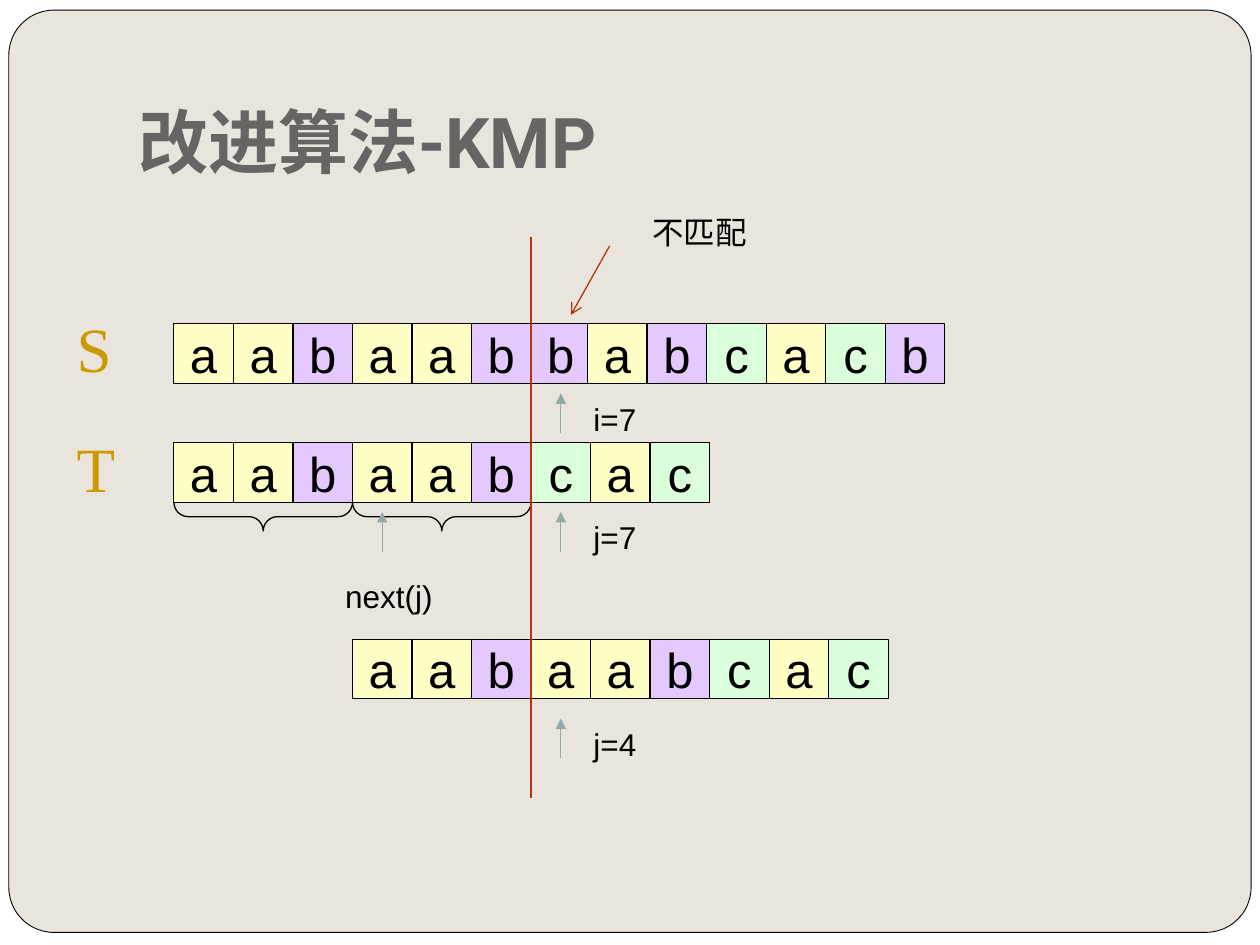
from typing import NamedTuple

from lxml.etree import SubElement
from pptx import Presentation
from pptx.dml.color import RGBColor
from pptx.enum.shapes import MSO_CONNECTOR, MSO_SHAPE
from pptx.enum.text import MSO_ANCHOR, MSO_AUTO_SIZE, PP_ALIGN
from pptx.oxml.ns import qn
from pptx.util import Inches, Length, Pt

BLACK = RGBColor(0x00, 0x00, 0x00)
WHITE = RGBColor(0xFF, 0xFF, 0xFF)
PANEL = RGBColor(0xE9, 0xE5, 0xDC)
TITLE = RGBColor(0x69, 0x64, 0x64)
GOLD = RGBColor(0xCC, 0x99, 0x00)
POINTER = RGBColor(0x96, 0xA9, 0xA9)
RUST = RGBColor(0xB1, 0x36, 0x0B)
LETTER_FILLS = {
    "a": RGBColor(0xFF, 0xFF, 0xC5),
    "b": RGBColor(0xE4, 0xC9, 0xFF),
    "c": RGBColor(0xDB, 0xFF, 0xDB),
}

# Grid of square cells; column 0, row 0 is the first letter of S.
CELL = 0.4725
GRID_LEFT, GRID_TOP = 1.38, 2.57


class Strip(NamedTuple):
    letters: str
    column: float
    row: float


class Label(NamedTuple):
    text: str
    column: float
    row: float
    width: float
    height: float = 0.4
    size: int = 18
    font: str = "Arial"
    color: RGBColor = BLACK
    wrap: bool = False


class Line(NamedTuple):
    start: tuple[float, float]
    end: tuple[float, float]
    color: RGBColor = POINTER
    head: str = "triangle"


class Brace(NamedTuple):
    column: float
    row: float
    columns: float
    depth: float = 0.48


STRIPS = [
    Strip("aabaabb", 0, 0),
    Strip("abcacb", 6.95, 0),
    Strip("aabaabcac", 0, 2),
    Strip("aabaabcac", 3, 5.3),
]
SERIF = {"font": "Times New Roman"}
NAME = {"height": 0.7, "size": 36, "color": GOLD, **SERIF}
LABELS = [
    Label("S", -1.84, -0.34, 0.48, **NAME),
    Label("T", -1.84, 1.67, 0.51, **NAME),
    Label("i=7", 6.84, 1.17, 0.54),
    Label("j=7", 6.84, 3.16, 0.55),
    Label("j=4", 6.84, 6.63, 0.55),
    Label("next(j)", 2.67, 4.15, 0.9),
    Label("不匹配", 7.83, -1.97, 1.25, wrap=True, **SERIF),
]
LINES = [
    Line((6.5, 1.83), (6.5, 1.17)),
    Line((6.5, 3.83), (6.5, 3.16)),
    Line((3.5, 3.83), (3.5, 3.16)),
    Line((6.5, 7.3), (6.5, 6.63)),
    Line((6, -1.46), (6, 7.96), RUST, ""),
    Line((7.32, -1.31), (6.67, -0.15), RUST, "arrow"),
]
BRACES = [Brace(column, 3, 3) for column in (0, 3)]


def grid_x(column: float) -> Length:
    return Inches(GRID_LEFT + column * CELL)


def grid_y(row: float) -> Length:
    return Inches(GRID_TOP + row * CELL)


def set_all(target, values: dict) -> None:
    for name, value in values.items():
        setattr(target, name, value)


def write(frame, text: str, size: int, font: str, color: RGBColor, bold=False) -> None:
    span = frame.paragraphs[0].add_run()
    span.text = text
    set_all(span.font, {"size": Pt(size), "name": font, "bold": bold})
    span.font.color.rgb = color


def outline(shape, color: RGBColor, width: float = 0.75) -> None:
    shape.line.color.rgb = color
    shape.line.width = Pt(width)


def draw_panel(page) -> None:
    """Draw the rounded panel behind the title."""
    panel = page.shapes.add_shape(
        MSO_SHAPE.ROUNDED_RECTANGLE,
        Inches(0.07), Inches(0.08), Inches(9.86), Inches(7.32),
    )
    panel.adjustments[0] = 0.049
    panel.shadow.inherit = False
    panel.fill.solid()
    panel.fill.fore_color.rgb = PANEL
    outline(panel, BLACK, 0.5)
    page.shapes.title.element.addprevious(panel.element)


def draw_title(page, text: str) -> None:
    title = page.shapes.title
    set_all(title, {"left": Inches(1), "top": Inches(0.3),
                    "width": Inches(8.5), "height": Inches(1.25)})
    frame = title.text_frame
    set_all(frame, {"vertical_anchor": MSO_ANCHOR.BOTTOM, "margin_bottom": Inches(0.1),
                    "word_wrap": True, "auto_size": MSO_AUTO_SIZE.NONE})
    frame.paragraphs[0].alignment = PP_ALIGN.LEFT
    write(frame, text, 40, "Roboto", TITLE, bold=True)


def draw_strip(page, strip: Strip) -> None:
    group = page.shapes.add_group_shape()
    for index, letter in enumerate(strip.letters):
        box = group.shapes.add_shape(
            MSO_SHAPE.RECTANGLE, grid_x(strip.column + index), grid_y(strip.row),
            Inches(CELL), Inches(CELL),
        )
        box.shadow.inherit = False
        box.fill.solid()
        box.fill.fore_color.rgb = LETTER_FILLS[letter]
        outline(box, BLACK)
        frame = box.text_frame
        set_all(frame, {"word_wrap": False, "vertical_anchor": MSO_ANCHOR.MIDDLE})
        frame.paragraphs[0].alignment = PP_ALIGN.CENTER
        write(frame, letter, 28, "Arial", BLACK)


def draw_label(page, label: Label) -> None:
    box = page.shapes.add_textbox(grid_x(label.column), grid_y(label.row),
                                  Inches(label.width), Inches(label.height))
    set_all(box.text_frame, {"word_wrap": label.wrap,
                             "auto_size": MSO_AUTO_SIZE.SHAPE_TO_FIT_TEXT})
    write(box.text_frame, label.text, label.size, label.font, label.color)


def draw_line(page, line: Line) -> None:
    (start_column, start_row), (end_column, end_row) = line.start, line.end
    connector = page.shapes.add_connector(
        MSO_CONNECTOR.STRAIGHT, grid_x(start_column), grid_y(start_row),
        grid_x(end_column), grid_y(end_row),
    )
    outline(connector, line.color)
    if line.head:
        SubElement(connector.line._get_or_add_ln(), qn("a:tailEnd"), type=line.head)
    SubElement(connector.element.spPr, qn("a:effectLst"))


def draw_brace(page, brace: Brace) -> None:
    """Turn a right brace a quarter so that it opens upwards under its columns."""
    middle_column = brace.column + brace.columns / 2
    middle_row = brace.row + brace.depth / 2
    shape = page.shapes.add_shape(
        MSO_SHAPE.RIGHT_BRACE,
        grid_x(middle_column - brace.depth / 2), grid_y(middle_row - brace.columns / 2),
        Inches(brace.depth * CELL), Inches(brace.columns * CELL),
    )
    shape.rotation = 90
    shape.adjustments[0] = 0.5
    shape.shadow.inherit = False
    shape.fill.background()
    outline(shape, BLACK)


def main() -> None:
    deck = Presentation()
    set_all(deck, {"slide_width": Inches(10), "slide_height": Inches(7.5)})
    page = deck.slides.add_slide(deck.slide_layouts[5])
    page.background.fill.solid()
    page.background.fill.fore_color.rgb = WHITE
    draw_panel(page)
    draw_title(page, "改进算法-KMP")
    for draw, items in ((draw_strip, STRIPS), (draw_label, LABELS),
                        (draw_brace, BRACES), (draw_line, LINES)):
        for item in items:
            draw(page, item)
    deck.save("out.pptx")


if __name__ == "__main__":
    main()
